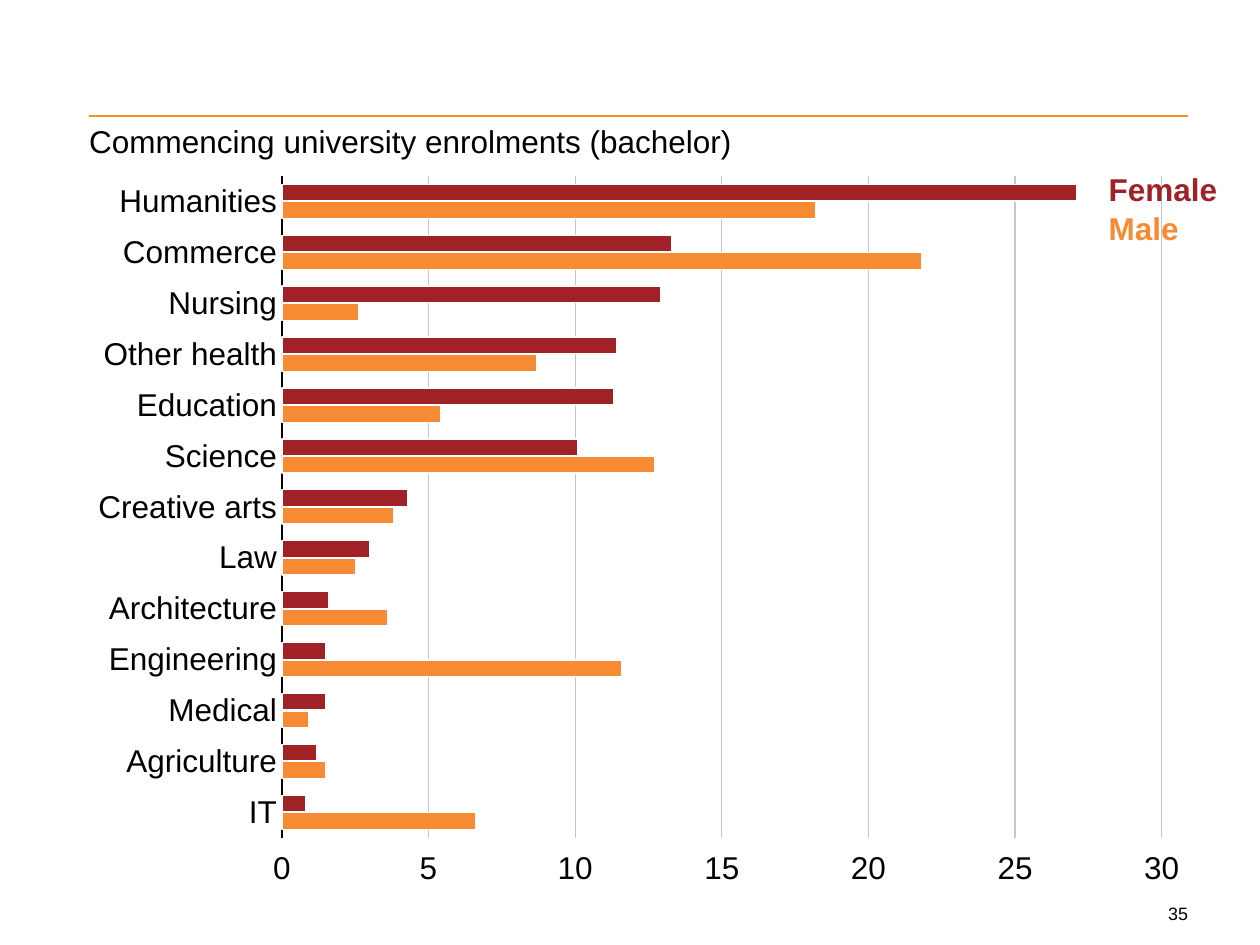
"""Build a slide with a bar chart of university enrolments by field and sex."""
from lxml.etree import SubElement
from pptx import Presentation
from pptx.chart.data import CategoryChartData as Data
from pptx.dml.color import RGBColor
from pptx.enum.chart import XL_CHART_TYPE as Kind, XL_TICK_MARK as Tick
from pptx.enum.shapes import MSO_CONNECTOR as Link
from pptx.enum.text import MSO_AUTO_SIZE as Fit, PP_ALIGN as Align
from pptx.oxml import parse_xml
from pptx.oxml.ns import nsdecls, qn
from pptx.util import Cm, Pt

RED, ORANGE, BLACK = "A02226", "F68B33", "000000"


def paint(part, color):
    if hasattr(part, "solid"):
        part.solid()
        part = part.fore_color
    else:
        part = part.color
    part.rgb = RGBColor.from_string(color)


def write(words, left, top, width, height, size=18, color=BLACK, bold=False,
          pad=True, wrap=False, align=Align.LEFT):
    box = slide.shapes.add_textbox(Cm(left), Cm(top), Cm(width), Cm(height))
    frame = box.text_frame
    frame.word_wrap = wrap
    frame.auto_size = Fit.SHAPE_TO_FIT_TEXT
    if not pad:
        frame.margin_left = frame.margin_right = 0
        frame.margin_top = frame.margin_bottom = 0
    para = frame.paragraphs[0]
    para.alignment = align
    run = para.add_run()
    run.text = words
    run.font.name, run.font.size, run.font.bold = "Arial", Pt(size), bold
    paint(run.font, color)


deck = Presentation()
deck.slide_width, deck.slide_height = Cm(25.4), Cm(19.05)
slide = deck.slides.add_slide(deck.slide_layouts[6])

rule = slide.shapes.add_connector(Link.STRAIGHT, Cm(1.8), Cm(2.34), Cm(23.95), Cm(2.34))
rule.line.width = Pt(1.5)
paint(rule.line, "F3901D")
SubElement(rule.line._get_or_add_ln().getparent(), qn("a:effectLst"))

write("35", 23.52, 18.19, 0.43, 0.43, size=10.2, pad=False, align=Align.RIGHT)
write("Commencing university enrolments (bachelor)", 1.8, 2.46, 22.17, 0.79,
      pad=False, wrap=True)

rows = [
    ("IT", 6.6, 0.8), ("Agriculture", 1.5, 1.2), ("Medical", 0.9, 1.5),
    ("Engineering", 11.6, 1.5), ("Architecture", 3.6, 1.6), ("Law", 2.5, 3),
    ("Creative arts", 3.8, 4.3), ("Science", 12.7, 10.1),
    ("Education", 5.4, 11.3), ("Other health", 8.7, 11.4),
    ("Nursing", 2.6, 12.9), ("Commerce", 21.8, 13.3), ("Humanities", 18.2, 27.1),
]
fields, male, female = zip(*rows)
data = Data()
data.categories = fields
data.add_series("Male", male)
data.add_series("Female", female)
chart = slide.shapes.add_chart(Kind.BAR_CLUSTERED, Cm(1.55), Cm(3.25), Cm(22.71),
                               Cm(14.91), data).chart
chart.has_legend = chart.has_title = False
chart.font.name, chart.font.size = "Arial", Pt(18)
paint(chart.font, BLACK)

plot = chart.plots[0]
plot.gap_width, plot.overlap = 100, -5
plot.vary_by_categories = False
for bars, color in zip(plot.series, (ORANGE, RED)):
    paint(bars.format.fill, color)
    paint(bars.format.line, "FFFFFF")
    bars.format.line.width = Pt(0.75)

names = chart.category_axis
names.major_tick_mark = names.minor_tick_mark = Tick.NONE
names.has_major_gridlines = False
paint(names.format.line, BLACK)
names.format.line.width = Pt(0.75)

scale = chart.value_axis
scale.minimum_scale, scale.maximum_scale, scale.major_unit = 0, 30, 5
scale.major_tick_mark, scale.minor_tick_mark = Tick.OUTSIDE, Tick.NONE
scale.tick_labels.number_format = "General"
scale.tick_labels.number_format_is_linked = False
scale.format.line.fill.background()
scale.has_major_gridlines = True
grid = scale.major_gridlines.format.line
paint(grid, "C3C7CB")
grid.width = Pt(0.75)

area = plot._element.getparent()
for old in area.findall(qn("c:layout")):
    area.remove(old)
area.insert(0, parse_xml(
    f'<c:layout {nsdecls("c")}><c:manualLayout><c:layoutTarget val="inner"/>'
    '<c:xMode val="edge"/><c:yMode val="edge"/><c:x val="0.182"/><c:y val="0.02"/>'
    '<c:w val="0.781"/><c:h val="0.895"/></c:manualLayout></c:layout>'))

write("Female", 22.1, 3.3, 2.72, 1.02, color=RED, bold=True)
write("Male", 22.1, 4.09, 1.93, 1.02, color=ORANGE, bold=True)

deck.save("out.pptx")
